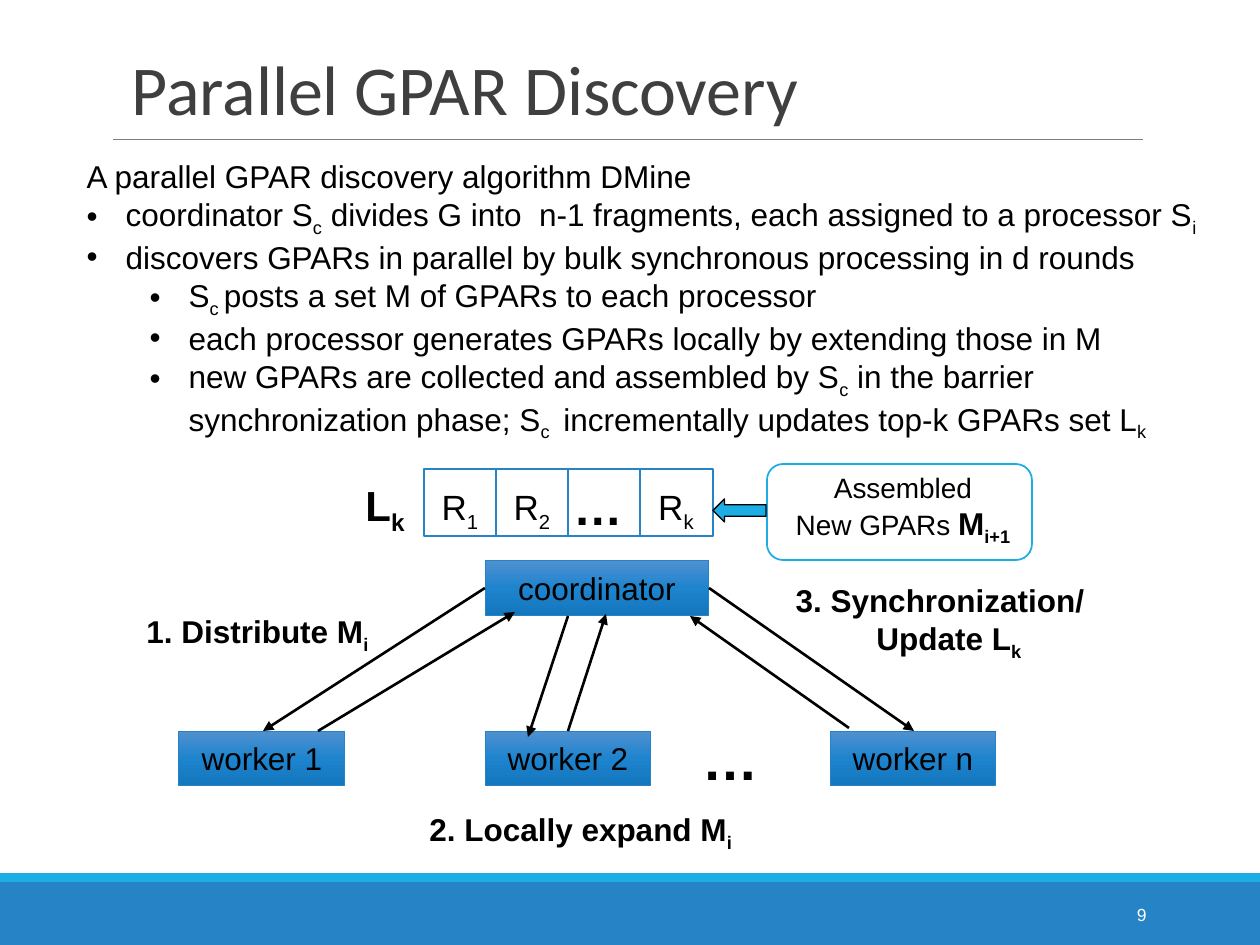
from copy import deepcopy
from dataclasses import dataclass

from lxml.etree import SubElement
from pptx import Presentation
from pptx.dml.color import RGBColor
from pptx.enum.shapes import MSO_CONNECTOR as Link, MSO_SHAPE as Kind
from pptx.enum.text import MSO_ANCHOR as Anchor, MSO_AUTO_SIZE as Fit, PP_ALIGN as Align
from pptx.oxml.ns import qn
from pptx.util import Pt

SCALE = 914400 / 126  # EMU in one px


@dataclass(frozen=True)
class Theme:
    ink: str = "000000"
    head: str = "3F3F3F"
    rule: str = "7F7F7F"
    blue: str = "2683C6"
    cyan: str = "1CADE4"
    white: str = "FFFFFF"
    blend: tuple = ("5191D0", "1E84CE", "1477BE")
    font: str = "Arial"
    title_font: str = "Calibri"
    title: int = 40
    dots: int = 32
    cell_dots: int = 28
    mark: int = 24
    cell: int = 20
    text: int = 18
    note: int = 16
    page: int = 10


T = Theme()


def px(n):
    return round(n * SCALE)


def rgb(code):
    return RGBColor.from_string(code)


def put(para, runs, size=T.text, bold=False, color=T.ink, font=T.font):
    """Add runs to a paragraph; a leading underscore marks a subscript."""
    for text in runs:
        run = para.add_run()
        run.text = text.removeprefix("_")
        face = run.font
        face.size, face.bold, face.name = Pt(size), bold, font
        face.color.rgb = rgb(color)
        if text.startswith("_"):
            face._element.set("baseline", "-25000")


def write(frame, lines, align=Align.LEFT, **look):
    for i, runs in enumerate(lines):
        para = frame.add_paragraph() if i else frame.paragraphs[0]
        para.alignment = align
        put(para, runs, **look)


def indent(para, left, hang=0):
    props = para._p.get_or_add_pPr()
    props.set("marL", str(px(left)))
    props.set("indent", str(px(-hang)))
    return props


def label(slide, box, lines, anchor=Anchor.TOP, **look):
    frame = slide.shapes.add_textbox(*map(px, box)).text_frame
    frame.word_wrap = False
    frame.vertical_anchor = anchor
    write(frame, lines, **look)
    return frame


def block(slide, kind, box, fill=None, line=None, width=1):
    shape = slide.shapes.add_shape(kind, *map(px, box))
    shape.shadow.inherit = False
    if fill:
        shape.fill.solid()
        shape.fill.fore_color.rgb = rgb(fill)
    else:
        shape.fill.background()
    if line:
        shape.line.color.rgb = rgb(line)
        shape.line.width = Pt(width)
    else:
        shape.line.fill.background()
    return shape


def stroke(slide, start, end, color=T.ink, width=1.5, arrow=True):
    line = slide.shapes.add_connector(Link.STRAIGHT, *map(px, start + end))
    line.line.color.rgb = rgb(color)
    line.line.width = Pt(width)
    if arrow:
        SubElement(line.line._get_or_add_ln(), qn("a:tailEnd"), type="triangle")
    SubElement(line._element.spPr, qn("a:effectLst"))


def place(holder, box):
    holder.left, holder.top, holder.width, holder.height = map(px, box)
    frame = holder.text_frame
    frame.auto_size = Fit.NONE
    frame.word_wrap = True
    return frame


def footer(slide, box):
    x, y, w, h = box
    block(slide, Kind.RECTANGLE, (x, y + 9, w, h - 9), T.blue)
    block(slide, Kind.RECTANGLE, (x, y, w, 9), T.cyan)
    label(slide, (x + 1023, y + 17, 136, 50), [["9"]], Anchor.MIDDLE,
          align=Align.RIGHT, size=T.page, color=T.white)


def header(slide, box):
    x, y, w, h = box
    frame = place(slide.shapes.title, (x + 6, y, w, h - 3))
    frame.vertical_anchor = Anchor.BOTTOM
    write(frame, [["Parallel GPAR Discovery"]], size=T.title,
          color=T.head, font=T.title_font)
    frame.paragraphs[0].line_spacing = 0.85
    stroke(slide, (x, y + h), (x + 1030, y + h), T.rule, 0.5, False)


def steps(slide, box):
    lines = [
        ["A parallel GPAR discovery algorithm DMine"],
        ["coordinator S", "_c", " divides G into  n-1 fragments, each assigned to a processor S", "_i"],
        ["discovers GPARs in parallel by bulk synchronous processing in d rounds"],
        ["S", "_c ", "posts a set M of GPARs to each processor"],
        ["each processor generates GPARs locally by extending those in M"],
        ["new GPARs are collected and assembled by S", "_c",
         " in the barrier synchronization phase; S", "_c ",
         " incrementally updates top-k GPARs set L", "_k"],
    ]
    frame = place(slide.placeholders[1], box)
    write(frame, lines)
    for i, para in enumerate(frame.paragraphs):
        para.space_before = Pt(0)
        if i == 0:
            SubElement(indent(para, 0), qn("a:buNone"))
            continue
        para.level = int(i > 2)
        props = indent(para, 102 if para.level else 39, 39)
        SubElement(props, qn("a:buFont"), typeface=T.font)
        SubElement(props, qn("a:buChar"), char="•")


def ranks(slide, box):
    """Top-k row of rules, fed by the newly assembled set."""
    x, y, w, h = box
    label(slide, (x, y + 4, 68, 63), [["L", "_k"]], size=T.mark, bold=True)
    for i, mark in enumerate(("1", "2", None, "k")):
        left = x + 71 + 72 * i
        block(slide, Kind.RECTANGLE, (left, y, 73, 67), T.white, T.blue)
        if mark:
            label(slide, (left + 4, y + 10, 64, 55), [["R", "_" + mark]],
                  align=Align.CENTER, size=T.cell)
        else:
            label(slide, (left - 7, y + 1, 74, 72), [["…"]],
                  align=Align.CENTER, size=T.cell_dots, bold=True)
    # Assembled set
    frame = label(slide, (x + 427, y - 5, 246, 84), [["Assembled"], ["New GPARs "]],
                  align=Align.CENTER, size=T.note)
    put(frame.paragraphs[1], ["M", "_i+1"], bold=True)
    block(slide, Kind.ROUNDED_RECTANGLE, (x + 414, y - 5, 265, 96), line=T.cyan)
    block(slide, Kind.LEFT_ARROW, (x + 360, y + 30, 53, 23), T.cyan, T.ink, 0.75)


def node(slide, box, text):
    shape = block(slide, Kind.RECTANGLE, box, T.blue, T.blue, 0.5)
    fill = shape.fill
    fill.gradient()
    fill.gradient_angle = 270
    stops = shape._element.spPr.find(".//" + qn("a:gsLst"))
    stops.insert(1, deepcopy(stops[0]))
    for i, (stop, color) in enumerate(zip(fill.gradient_stops, T.blend)):
        stop.color.rgb = rgb(color)
        stop.position = i / 2
    shape.text_frame.vertical_anchor = Anchor.MIDDLE
    write(shape.text_frame, [[text]], Align.CENTER)


def workers(slide, box):
    """Coordinator, its workers and the messages between them."""
    x, y, w, h = box
    node(slide, (x + 306, y, 224, 55), "coordinator")
    for left, name in ((0, "1"), (306, "2"), (651, "n")):
        node(slide, (x + left, y + 171, 166, 54), "worker " + name)
    label(slide, (x + 511, y + 158, 82, 81), [["…"]], size=T.dots, bold=True)
    # Messages, each from sender to receiver
    for a, b, c, d in ((306, 28, 84, 171), (530, 28, 735, 171),
                       (139, 171, 336, 52), (670, 168, 511, 56),
                       (389, 56, 349, 177), (389, 171, 427, 54)):
        stroke(slide, (x + a, y + b), (x + c, y + d))
    # Phases
    label(slide, (x - 45, y + 46, 253, 50), [["1. Distribute M", "_i"]], bold=True)
    label(slide, (x + 238, y + 244, 331, 50), [["2. Locally expand M", "_i"]], bold=True)
    frame = label(slide, (x + 602, y + 15, 318, 89),
                  [["3. Synchronization/"], ["Update L", "_k"]],
                  align=Align.CENTER, bold=True)
    indent(frame.paragraphs[1], 18)


def main():
    deck = Presentation()
    deck.slide_width, deck.slide_height = px(1260), px(945)
    slide = deck.slides.add_slide(deck.slide_layouts[1])
    footer(slide, (0, 873, 1260, 72))
    header(slide, (113, 37, 1040, 102))
    steps(slide, (74, 151, 1166, 280))
    workers(slide, (179, 560, 818, 294))
    ranks(slide, (353, 469, 679, 96))
    deck.save("out.pptx")


if __name__ == "__main__":
    main()
